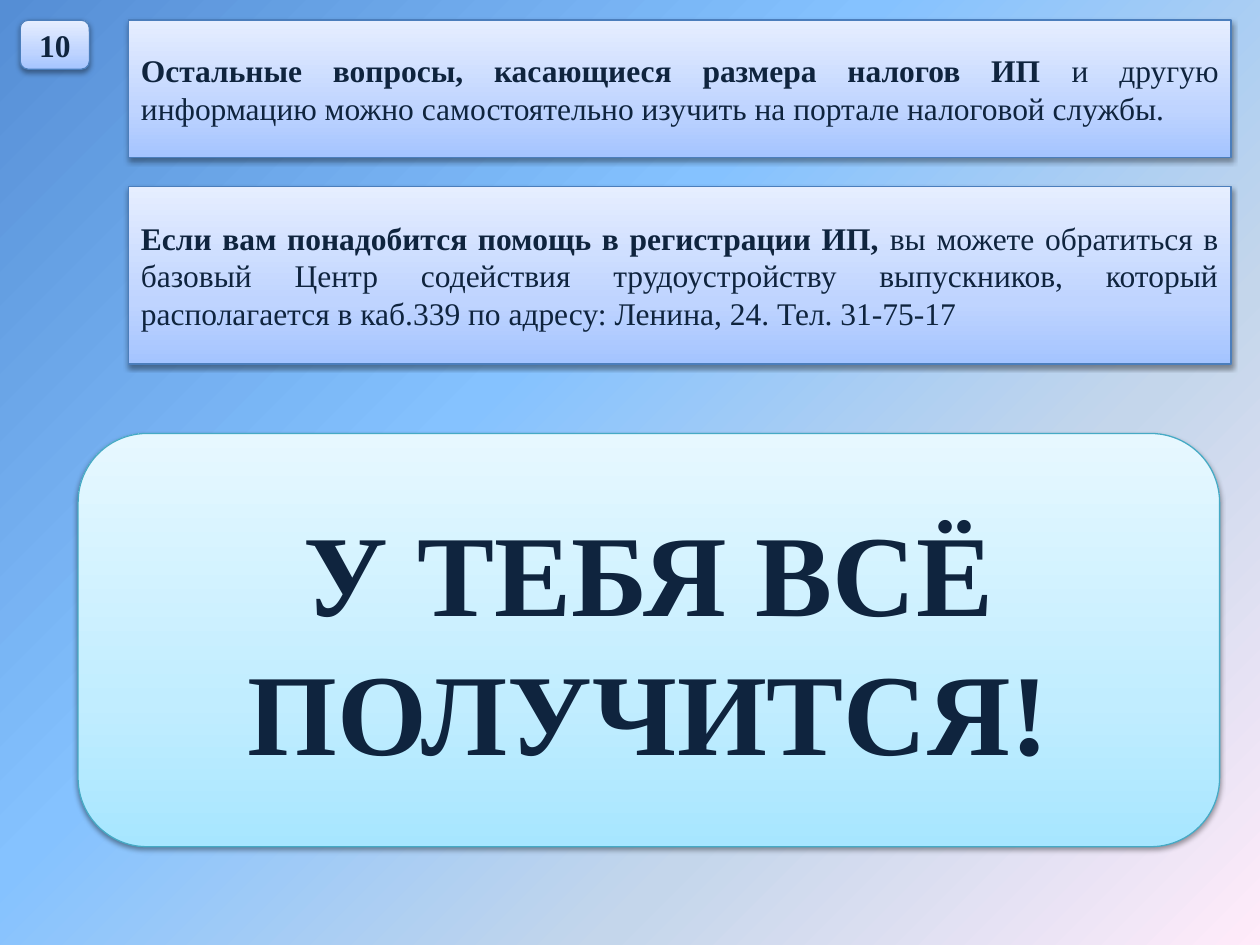
from dataclasses import dataclass

from lxml import etree
from pptx import Presentation
from pptx.dml.color import RGBColor
from pptx.enum import shapes, text
from pptx.oxml.ns import qn
from pptx.util import Inches, Pt

FONT = "Times New Roman"
NAVY = RGBColor(0x0F, 0x24, 0x3E)
BLUE_EDGE = RGBColor(0x4B, 0x7E, 0xBC)
TEAL_EDGE = RGBColor(0x46, 0xAA, 0xC5)
BLACK = RGBColor(0, 0, 0)

Stops = tuple[tuple[int, RGBColor], ...]
SKY: Stops = (
    (0, RGBColor(0x55, 0x8E, 0xD5)),
    (40, RGBColor(0x85, 0xC2, 0xFF)),
    (70, RGBColor(0xC4, 0xD6, 0xEB)),
    (100, RGBColor(0xFF, 0xEB, 0xFA)),
)
BLUE: Stops = (
    (0, RGBColor(0xA4, 0xC4, 0xFF)),
    (35, RGBColor(0xBF, 0xD4, 0xFF)),
    (100, RGBColor(0xE6, 0xEE, 0xFF)),
)
TEAL: Stops = (
    (0, RGBColor(0xA7, 0xE6, 0xFF)),
    (35, RGBColor(0xC1, 0xED, 0xFF)),
    (100, RGBColor(0xE7, 0xF8, 0xFF)),
)

RECT = shapes.MSO_SHAPE.RECTANGLE
ROUNDED = shapes.MSO_SHAPE.ROUNDED_RECTANGLE
CENTER = text.PP_ALIGN.CENTER
JUSTIFY = text.PP_ALIGN.JUSTIFY


@dataclass(frozen=True)
class Panel:
    box: tuple[float, float, float, float]
    bold: str
    plain: str = ""
    outline: shapes.MSO_SHAPE = RECT
    align: text.PP_ALIGN = JUSTIFY
    size: int = 18
    stops: Stops = BLUE
    edge: RGBColor = BLUE_EDGE


PANELS = (
    Panel((0.16, 0.16, 0.55, 0.39), "10", outline=ROUNDED, align=CENTER),
    Panel(
        (1.02, 0.16, 8.75, 1.09),
        "Остальные вопросы, касающиеся размера налогов ИП ",
        "и другую информацию можно самостоятельно изучить "
        "на портале налоговой службы. ",
    ),
    Panel(
        (1.02, 1.48, 8.75, 1.41),
        "Если вам понадобится помощь в регистрации ИП, ",
        "вы можете обратиться в базовый Центр содействия трудоустройству "
        "выпускников, который располагается в каб.339 по адресу: "
        "Ленина, 24. Тел. 31-75-17",
    ),
    Panel((0.62, 3.44, 9.06, 3.28), "У ТЕБЯ ВСЁ ПОЛУЧИТСЯ!", outline=ROUNDED,
          align=CENTER, size=66, stops=TEAL, edge=TEAL_EDGE),
)


def add_color(parent, color: RGBColor):
    return etree.SubElement(parent, qn("a:srgbClr"), val=str(color))


def set_stops(gradient, stops: Stops) -> None:
    stop_list = gradient.find(qn("a:gsLst"))
    for old in list(stop_list):
        stop_list.remove(old)
    for percent, color in stops:
        add_color(etree.SubElement(stop_list, qn("a:gs"), pos=str(percent * 1000)), color)


def paint_background(slide) -> None:
    """Spread the sky gradient from the top left corner."""
    slide.background.fill.gradient()
    gradient = slide.element.find(".//" + qn("a:gradFill"))
    set_stops(gradient, SKY)
    gradient.remove(gradient.find(qn("a:lin")))
    spread = etree.SubElement(gradient, qn("a:path"), path="circle")
    etree.SubElement(spread, qn("a:fillToRect"), r="100000", b="100000")


def add_shadow(shape) -> None:
    shape.shadow.inherit = False
    effects = shape.element.spPr.find(qn("a:effectLst"))
    shadow = etree.SubElement(
        effects, qn("a:outerShdw"), blurRad=str(Pt(3.1)), dist=str(Pt(1.6)),
        dir=str(90 * 60000), rotWithShape="0")
    etree.SubElement(add_color(shadow, BLACK), qn("a:alpha"), val="38000")


def add_panel(slide, panel: Panel) -> None:
    shape = slide.shapes.add_shape(panel.outline, *map(Inches, panel.box))
    shape.fill.gradient()
    shape.fill.gradient_angle = 90
    set_stops(shape.element.spPr.find(qn("a:gradFill")), panel.stops)
    shape.line.color.rgb = panel.edge
    shape.line.width = Pt(0.75)
    add_shadow(shape)

    frame = shape.text_frame
    frame.word_wrap = True
    frame.vertical_anchor = text.MSO_ANCHOR.MIDDLE
    paragraph = frame.paragraphs[0]
    paragraph.alignment = panel.align
    for words, bold in ((panel.bold, True), (panel.plain, False)):
        if words:
            run = paragraph.add_run()
            run.text = words
            run.font.name = FONT
            run.font.size = Pt(panel.size)
            run.font.bold = bold
            run.font.color.rgb = NAVY


def main() -> None:
    deck = Presentation()
    deck.slide_width, deck.slide_height = Inches(10), Inches(7.5)
    slide = deck.slides.add_slide(deck.slide_layouts.get_by_name("Blank"))
    paint_background(slide)
    for panel in PANELS:
        add_panel(slide, panel)
    deck.save("out.pptx")


if __name__ == "__main__":
    main()
